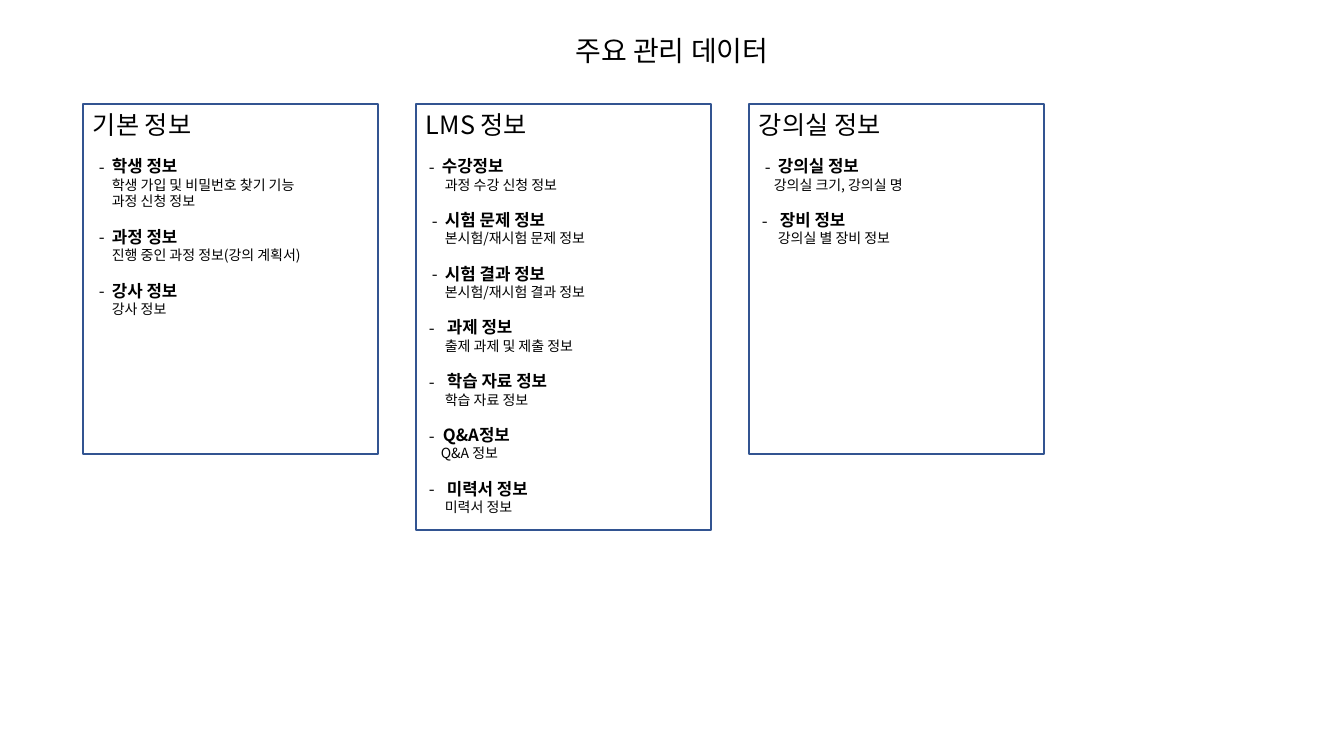
from dataclasses import dataclass

import pptx
import pptx.dml.color
import pptx.enum.shapes
import pptx.enum.text
import pptx.oxml
import pptx.oxml.ns
import pptx.shapes.autoshape
import pptx.slide
import pptx.text.text
import pptx.util

EMU_PER_PIXEL = 914400 / 100.8
FONT = "Noto Sans CJK KR"
BLACK = "000000"
BORDER = "325491"
LINE_HEIGHT = 1.2
GROUP_GAP = 12
CARD_LEFT, CARD_TOP, CARD_WIDTH, CARD_PITCH = 83, 104, 295, 333


@dataclass(frozen=True)
class Item:
    """A dashed entry with its details; offsets are pixels from the text edge."""

    label: str
    details: tuple[str, ...]
    dash: int = 3
    indent: int = 21
    detail_indent: int = 19


@dataclass(frozen=True)
class Card:
    """A bordered column of entries."""

    heading: str
    height: int
    items: tuple[Item, ...]


CARDS = (
    Card("기본 정보", 350, (
        Item("학생 정보", ("학생 가입 및 비밀번호 찾기 기능", "과정 신청 정보"), 6, 19),
        Item("과정 정보", ("진행 중인 과정 정보(강의 계획서)",), 6, 19),
        Item("강사 정보", ("강사 정보",), 6, 19),
    )),
    Card("LMS 정보", 426, (
        Item("수강정보", ("과정 수강 신청 정보",), 3, 16),
        Item("시험 문제 정보", ("본시험/재시험 문제 정보",), 6, 19),
        Item("시험 결과 정보", ("본시험/재시험 결과 정보",), 6, 19),
        Item("과제 정보", ("출제 과제 및 제출 정보",)),
        Item("학습 자료 정보", ("학습 자료 정보",)),
        Item("Q&A정보", ("Q&A 정보",), 3, 17, 15),
        Item("미력서 정보", ("미력서 정보",)),
    )),
    Card("강의실 정보", 350, (
        Item("강의실 정보", ("강의실 크기, 강의실 명",), 6, 19, 15),
        Item("장비 정보", ("강의실 별 장비 정보",)),
    )),
)


def px(pixels: float) -> pptx.util.Emu:
    """Turn pixels into EMU."""
    return pptx.util.Emu(round(pixels * EMU_PER_PIXEL))


def color(value: str) -> pptx.dml.color.RGBColor:
    """Turn a hex string into a colour."""
    return pptx.dml.color.RGBColor.from_string(value)


def write(frame: pptx.text.text.TextFrame, text: str, *, size: int,
          bold: bool = False, align: str = "LEFT", gap: int = 0,
          indent: int = 0, dash: int | None = None) -> None:
    """Write one paragraph, with a dash bullet where its offset is given."""
    first = frame.paragraphs[0]
    paragraph = frame.add_paragraph() if first.runs else first
    paragraph.alignment = getattr(pptx.enum.text.PP_ALIGN, align)
    paragraph.line_spacing = pptx.util.Pt(size * LINE_HEIGHT)
    paragraph.space_before = pptx.util.Pt(gap)
    properties = paragraph._p.get_or_add_pPr()
    properties.set("marL", str(px(indent)))
    properties.set("indent", str(px(0 if dash is None else dash - indent)))
    if dash is not None:
        bullet = pptx.oxml.ns.qn("a:buFont")
        properties.append(properties.makeelement(bullet, {"typeface": FONT}))
        bullet = pptx.oxml.ns.qn("a:buChar")
        properties.append(properties.makeelement(bullet, {"char": "-"}))
    run = paragraph.add_run()
    run.text = text
    run.font.name = FONT
    run.font.size = pptx.util.Pt(size)
    run.font.bold = bold
    run.font.color.rgb = color(BLACK)
    east_asian = pptx.oxml.ns.qn("a:ea")
    character = run._r.get_or_add_rPr()
    character.append(character.makeelement(east_asian, {"typeface": FONT}))


def add_title(slide: pptx.slide.Slide, text: str) -> None:
    """Add the centred title across the slide."""
    frame = slide.shapes.add_textbox(px(0), px(29), px(1344), px(44)).text_frame
    frame.word_wrap = True
    write(frame, text, size=20, align="CENTER")


def add_card(slide: pptx.slide.Slide, card: Card, column: int) -> None:
    """Add one bordered card with its heading and entries."""
    shape = slide.shapes.add_shape(
        pptx.enum.shapes.MSO_SHAPE.RECTANGLE,
        px(CARD_LEFT + column * CARD_PITCH), px(CARD_TOP),
        px(CARD_WIDTH), px(card.height))
    shape.shadow.inherit = False
    shape.fill.background()
    shape.line.color.rgb = color(BORDER)
    shape.line.width = pptx.util.Pt(1)
    frame = shape.text_frame
    frame.word_wrap = True
    frame.vertical_anchor = pptx.enum.text.MSO_ANCHOR.TOP
    write(frame, card.heading, size=18)
    for item in card.items:
        write(frame, item.label, size=12, bold=True, gap=GROUP_GAP,
              indent=item.indent, dash=item.dash)
        for detail in item.details:
            write(frame, detail, size=10, indent=item.detail_indent)


def main() -> None:
    """Build and save the slide."""
    presentation = pptx.Presentation()
    presentation.slide_width = px(1344)
    presentation.slide_height = px(756)
    slide = presentation.slides.add_slide(presentation.slide_layouts[6])
    add_title(slide, "주요 관리 데이터")
    for column, card in enumerate(CARDS):
        add_card(slide, card, column)
    presentation.save("out.pptx")


main()
